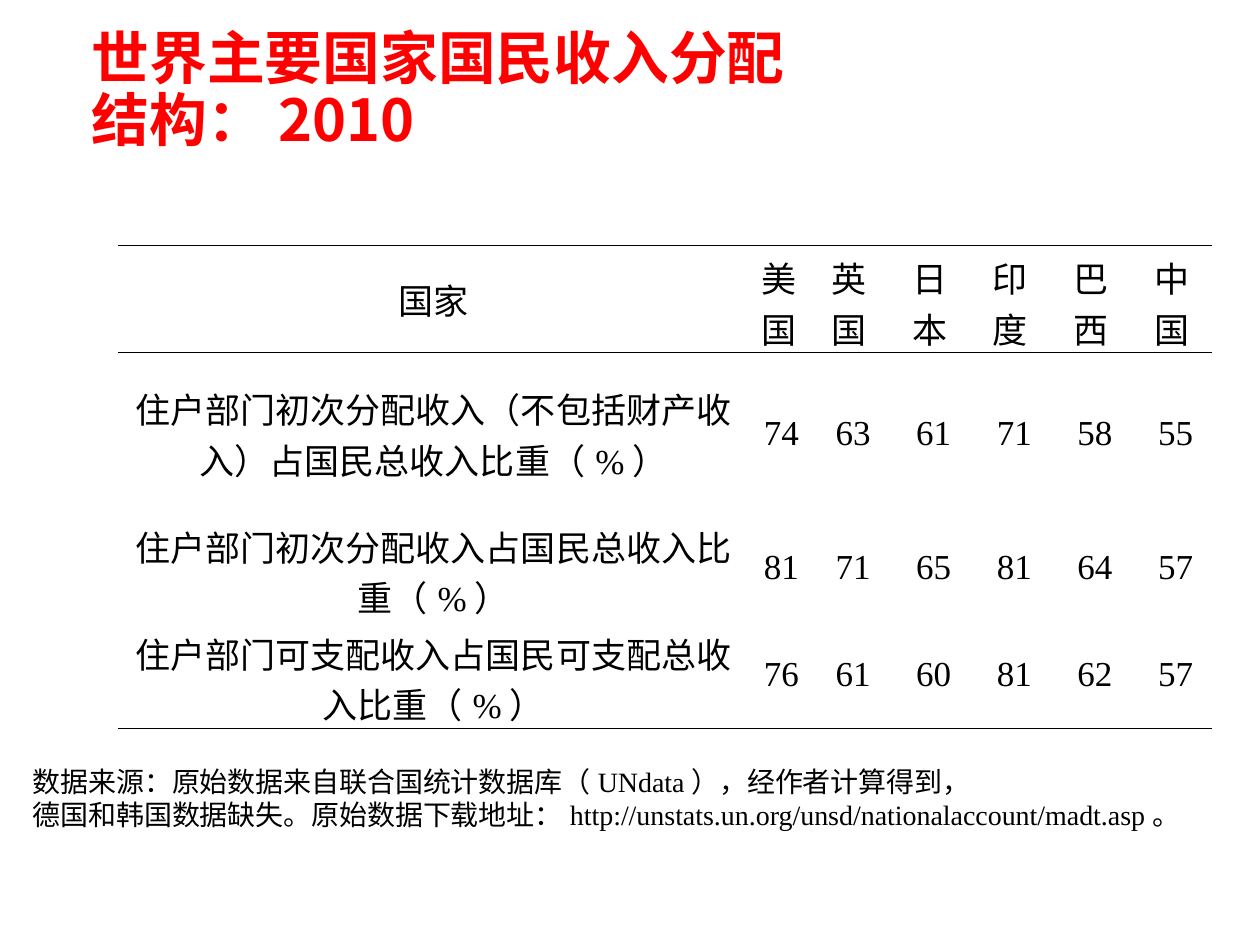
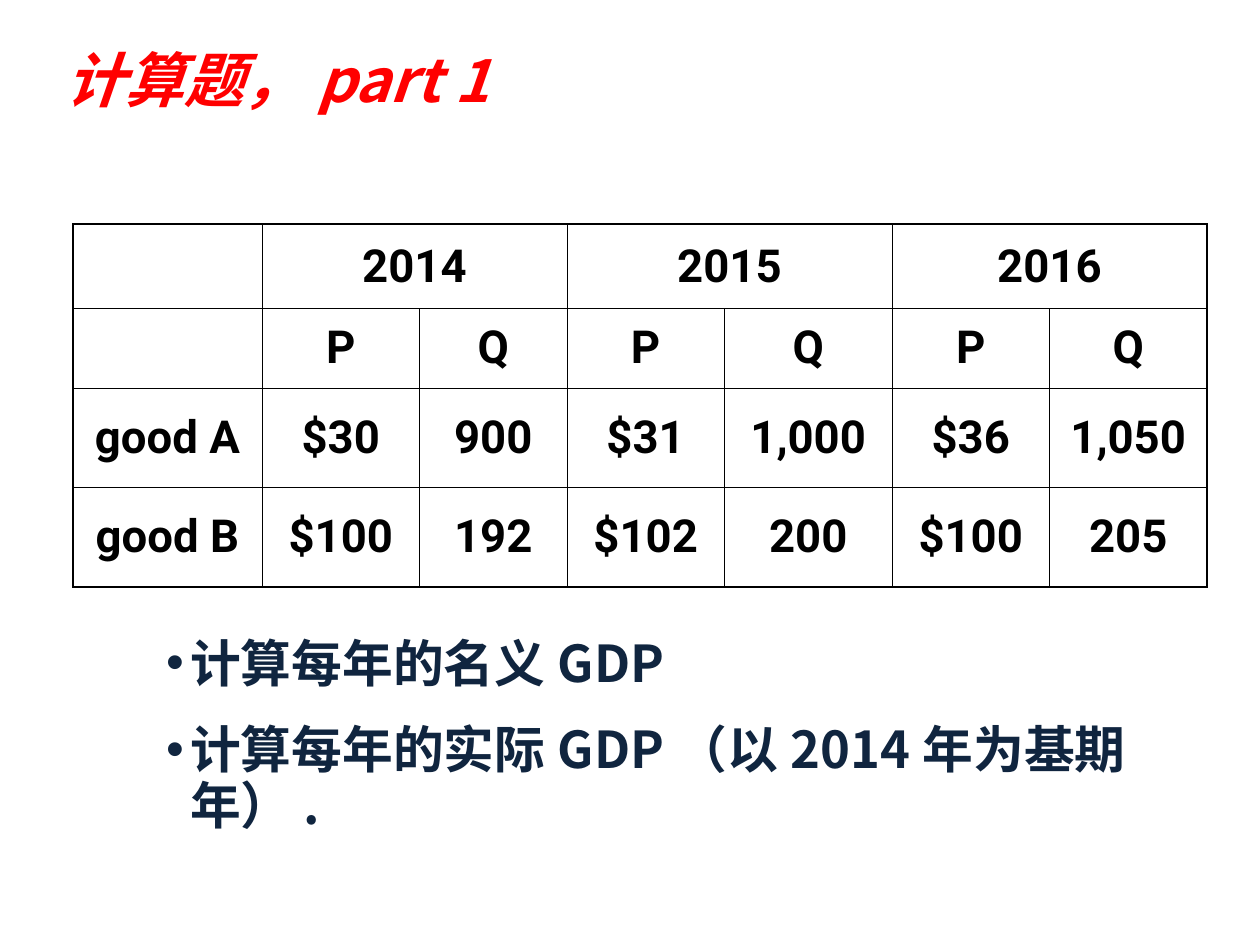
from dataclasses import dataclass

from lxml.etree import SubElement
from pptx import Presentation
from pptx.dml.color import RGBColor
from pptx.enum.text import MSO_ANCHOR, PP_ALIGN
from pptx.oxml.ns import qn
from pptx.util import Inches, Pt


@dataclass(frozen=True)
class Theme:
    red: str = "FF0000"
    navy: str = "10253F"
    black: str = "000000"
    white: str = "FFFFFF"
    chinese: str = "Noto Sans CJK SC"
    serif: str = "Times New Roman"
    sans: str = "Roboto"
    title_size: int = 33
    exercise_title_size: int = 34
    task_size: int = 29
    price_size: int = 26
    income_size: int = 20
    source_size: int = 16
    thin: float = 0.45
    thick: float = 1.08


theme = Theme()


def write_text(frame, text, *, size, color=theme.black, font=theme.chinese, bold=False,
               italic=False, align=PP_ALIGN.LEFT, line=None, gap=0, bullet=None):
    for index, content in enumerate(text.split("\n")):
        paragraph = frame.paragraphs[0] if index == 0 else frame.add_paragraph()
        paragraph.alignment = align
        if line:
            paragraph.line_spacing = Pt(line)
        if index:
            paragraph.space_before = Pt(gap)
        if bullet:
            properties = paragraph._p.get_or_add_pPr()
            properties.set("marL", str(Inches(0.19)))
            properties.set("indent", str(-Inches(0.19)))
            SubElement(properties, qn("a:buFont"), typeface="Arial")
            SubElement(properties, qn("a:buChar"), char=bullet)
        run = paragraph.add_run()
        run.text = content
        run.font.size = Pt(size)
        run.font.name = font
        run.font.bold = bold
        run.font.italic = italic
        run.font.color.rgb = RGBColor.from_string(color)
        SubElement(run._r.get_or_add_rPr(), qn("a:ea"), typeface=theme.chinese)


def draw_borders(cell, left, right, top, bottom):
    properties = cell._tc.get_or_add_tcPr()
    for side, width in zip("LRTB", (left, right, top, bottom)):
        border = SubElement(properties, qn(f"a:ln{side}"), w=str(Pt(width)))
        if width:
            fill = SubElement(border, qn("a:solidFill"))
            SubElement(fill, qn("a:srgbClr"), val=theme.black)
        else:
            SubElement(border, qn("a:noFill"))


presentation = Presentation()
presentation.slide_width = Inches(10)
presentation.slide_height = Inches(7.5)
column = presentation.slide_width / 100
row = presentation.slide_height / 100
blank = presentation.slide_layouts[6]
income_slide = presentation.slides.add_slide(blank)
exercise_slide = presentation.slides.add_slide(blank)

title_style = dict(color=theme.red, bold=True)
text_boxes = [
    (income_slide, (6.3, 0, 58.6, 19.33), MSO_ANCHOR.MIDDLE, True,
     "世界主要国家国民收入分配结构：2010",
     dict(size=theme.title_size, line=35.5, **title_style)),
    (income_slide, (1.6, 80.27, 93.1, 16.53), MSO_ANCHOR.TOP, False,
     "数据来源：原始数据来自联合国统计数据库（UNdata），经作者计算得到，\n"
     "德国和韩国数据缺失。原始数据下载地址：http://unstats.un.org/unsd/nationalaccount/madt.asp。",
     dict(size=theme.source_size, font=theme.serif, line=19)),
    (exercise_slide, (4.2, 3.33, 91.7, 10.8), MSO_ANCHOR.MIDDLE, True,
     "计算题，part 1",
     dict(size=theme.exercise_title_size, italic=True, line=36.5, **title_style)),
    (exercise_slide, (12.2, 66.8, 79.2, 27.73), MSO_ANCHOR.TOP, True,
     "计算每年的名义GDP\n计算每年的实际GDP（以2014年为基期年）.",
     dict(size=theme.task_size, color=theme.navy, bold=True, line=31.5, gap=18, bullet="•")),
]
for slide, (left, top, width, height), anchor, wrap, text, style in text_boxes:
    shape = slide.shapes.add_textbox(
        int(left * column), int(top * row), int(width * column), int(height * row))
    shape.text_frame.word_wrap = wrap
    shape.text_frame.vertical_anchor = anchor
    write_text(shape.text_frame, text, **style)

income_rows = [
    ["国家", "美国", "英国", "日本", "印度", "巴西", "中国"],
    ["住户部门初次分配收入（不包括财产收入）占国民总收入比重（%）", "74", "63", "61", "71", "58", "55"],
    ["住户部门初次分配收入占国民总收入比重（%）", "81", "71", "65", "81", "64", "57"],
    ["住户部门可支配收入占国民可支配总收入比重（%）", "76", "61", "60", "81", "62", "57"],
]
price_rows = [
    ["", "2014", "", "2015", "", "2016", ""],
    [""] + ["P", "Q"] * 3,
    ["good A", "$30", "900", "$31", "1,000", "$36", "1,050"],
    ["good B", "$100", "192", "$102", "200", "$100", "205"],
]
tables = []
for slide, left, top, widths, heights, values in [
    (income_slide, 9.4, 26, [50, 4.8] + [6.4] * 5, [11.33, 17.07, 11.33, 11.33], income_rows),
    (exercise_slide, 5.8, 23.73, [15, 12.5, 11.7, 12.5, 13.3, 12.5, 12.5],
     [8.93, 8.4, 10.53, 10.53], price_rows),
]:
    table = slide.shapes.add_table(
        len(heights), len(widths), int(left * column), int(top * row),
        int(sum(widths) * column), int(sum(heights) * row)).table
    table.first_row = False
    table.horz_banding = False
    for table_column, width in zip(table.columns, widths):
        table_column.width = int(width * column)
    for table_row, height in zip(table.rows, heights):
        table_row.height = int(height * row)
    tables.append(table)
income_table, price_table = tables

for row_index, values in enumerate(income_rows):
    for column_index, value in enumerate(values):
        cell = income_table.cell(row_index, column_index)
        is_number = row_index > 0 and column_index > 0
        cell.vertical_anchor = MSO_ANCHOR.MIDDLE
        cell.margin_left = Inches(0 if is_number else 0.08)
        cell.margin_right = Inches(0.15 if is_number and column_index > 1 else 0.08)
        draw_borders(cell, 0, 0, theme.thin if row_index < 2 else 0,
                     theme.thin if row_index in (0, 3) else 0)
        cell.fill.background()
        write_text(cell.text_frame, value, size=theme.income_size, font=theme.serif,
                   align=PP_ALIGN.RIGHT if is_number else PP_ALIGN.CENTER)

for year_column in (1, 3, 5):
    price_table.cell(0, year_column).merge(price_table.cell(0, year_column + 1))
for row_index, values in enumerate(price_rows):
    for column_index, value in enumerate(values):
        cell = price_table.cell(row_index, column_index)
        cell.vertical_anchor = MSO_ANCHOR.MIDDLE
        last_column = column_index + (cell.span_width if cell.is_merge_origin else 1) == 7
        draw_borders(cell, *(theme.thick if outer else theme.thin for outer in (
            column_index == 0, last_column, row_index == 0, row_index == 3)))
        cell.fill.solid()
        cell.fill.fore_color.rgb = RGBColor.from_string(theme.white)
        if value:
            write_text(cell.text_frame, value, size=theme.price_size, font=theme.sans,
                       bold=True, align=PP_ALIGN.CENTER)

presentation.save("out.pptx")
